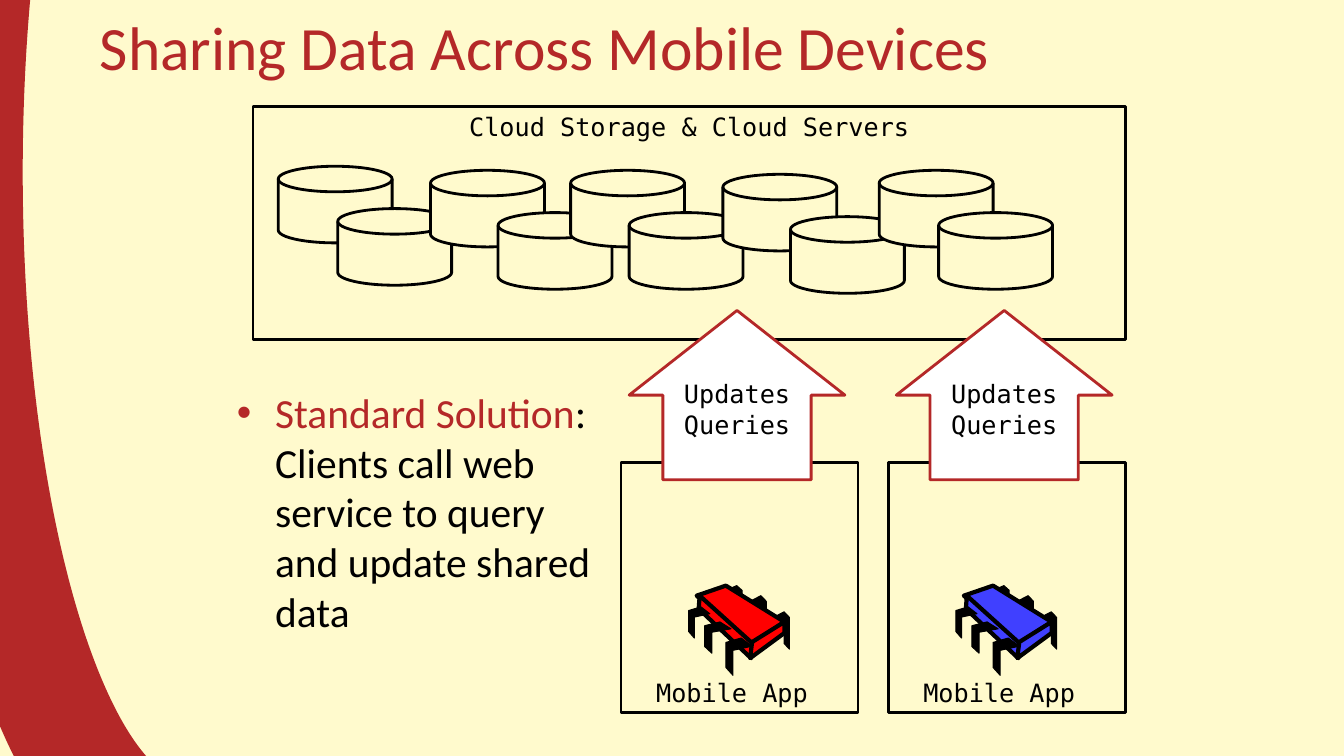
from lxml import etree
from pptx import Presentation
from pptx.dml.color import RGBColor
from pptx.enum.shapes import MSO_SHAPE
from pptx.enum.text import MSO_ANCHOR, MSO_AUTO_SIZE, PP_ALIGN
from pptx.oxml.ns import qn
from pptx.util import Inches, Pt

TOP, MIDDLE, BOTTOM = MSO_ANCHOR.TOP, MSO_ANCHOR.MIDDLE, MSO_ANCHOR.BOTTOM
LEFT, CENTER = PP_ALIGN.LEFT, PP_ALIGN.CENTER
BOX, DISK = MSO_SHAPE.RECTANGLE, MSO_SHAPE.FLOWCHART_MAGNETIC_DISK
ARROW, ARC = MSO_SHAPE.UP_ARROW, MSO_SHAPE.ARC

COLORS = {"cream": "FFFACD", "crimson": "B42828", "black": "000000",
          "white": "FFFFFF", "red chip": "FF0000", "blue chip": "4040FF"}
SANS, MONO = "Calibri", "DejaVu Sans Mono"

# Two device columns and the storage rows, in inches
DEVICE_LEFT, DEVICE_TOP, DEVICE_PITCH = 6.16, 4.59, 2.65
DISK_DROP = 0.42
DISK_PAIRS = [(2.76, 3.35, 1.65), (4.27, 4.94, 1.69), (5.66, 6.24, 1.69),
              (7.17, 7.84, 1.73), (8.72, 9.31, 1.69)]

# Chip outlines: pins as shares of their frames, faces in inches
BACK_PIN = [(0, .15), (.67, 0), (1, .15), (1, 1), (.67, .85), (.67, .29), (0, .43)]
FRONT_PIN = [(.58, 0), (1, .22), (.27, .33), (.27, 1), (0, .79), (0, .12)]
BACK_FRAMES = [(.84, .26, .16, .37), (.61, .1, .16, .37), (.37, 0, .16, .31)]
FRONT_FRAMES = [(.37, .52, .26, .37), (.16, .36, .26, .31), (0, .21, .21, .31)]
FACES = [[(.37, 0), (.95, .36), (.62, .58), (.08, .1)],
         [(.11, .1), (.63, .57), (.62, .72), (.1, .23)],
         [(.95, .36), (.95, .47), (.61, .72), (.63, .56)]]


def rgb(name):
    return RGBColor.from_string(COLORS[name])


def paint(shape, fill, line, width):
    shape.shadow.inherit = False
    if fill:
        shape.fill.solid()
        shape.fill.fore_color.rgb = rgb(fill)
    else:
        shape.fill.background()
    shape.line.color.rgb = rgb(line)
    shape.line.width = Pt(width)


def add_run(paragraph, text, font, size, color):
    run = paragraph.add_run()
    run.text = text
    run.font.name = font
    run.font.size = Pt(size)
    run.font.color.rgb = rgb(color)


def prepare_frame(holder, anchor, align):
    frame = holder.text_frame
    frame.word_wrap = True
    frame.auto_size = MSO_AUTO_SIZE.NONE
    frame.vertical_anchor = anchor
    frame.paragraphs[0].alignment = align
    return frame


def add_shape(slide, kind, frame, fill="cream", line="black", width=2):
    shape = slide.shapes.add_shape(kind, *map(Inches, frame))
    paint(shape, fill, line, width)
    return shape


def add_label(shape, lines, anchor):
    frame = prepare_frame(shape, anchor, CENTER)
    paragraph = frame.paragraphs[0]
    for index, line in enumerate(lines):
        if index:
            paragraph.add_line_break()
        add_run(paragraph, line, MONO, 18, "black")
    return frame


def add_side_band(slide):
    band = add_shape(slide, ARC, (-0.33, -4.83, 4.11, 13.08), None, "crimson", 80)
    band.adjustments[0] = 177.665
    band.adjustments[1] = 55.34
    band._element.spPr.find(qn("a:xfrm")).set("flipH", "1")


def add_title(slide, text):
    title = slide.shapes.title
    title.left, title.top, title.width, title.height = map(
        Inches, (0.89, -0.17, 12, 1.25))
    frame = prepare_frame(title, MIDDLE, LEFT)
    add_run(frame.paragraphs[0], text, SANS, 44, "crimson")


def add_solution(slide):
    solution = slide.shapes.add_textbox(*map(Inches, (2.25, 3.79, 3.82, 2.33)))
    paragraph = prepare_frame(solution, TOP, LEFT).paragraphs[0]
    props = paragraph._p.get_or_add_pPr()
    props.set("marL", str(Inches(0.38)))
    props.set("indent", str(-Inches(0.38)))
    bullet_color = etree.SubElement(props, qn("a:buClr"))
    etree.SubElement(bullet_color, qn("a:srgbClr"), val=COLORS["crimson"])
    etree.SubElement(props, qn("a:buFont"), typeface="Arial")
    etree.SubElement(props, qn("a:buChar"), char="•")
    add_run(paragraph, "Standard Solution", SANS, 29.6, "crimson")
    add_run(paragraph, ": Clients call web service to query and update shared data",
            SANS, 29.6, "black")


def add_outline(group, points, origin, fill, width):
    corners = [(Inches(origin[0] + x), Inches(origin[1] + y)) for x, y in points]
    builder = group.shapes.build_freeform(*corners[0])
    builder.add_line_segments(corners[1:], close=True)
    paint(builder.convert_to_shape(), fill, "black", width)


def add_pins(group, pin, frames, origin):
    for left, top, width, height in frames:
        points = [(left + x * width, top + y * height) for x, y in pin]
        add_outline(group, points, origin, "black", 0.75)


def add_chip(slide, origin, color):
    chip = slide.shapes.add_group_shape()
    add_pins(chip, BACK_PIN, BACK_FRAMES, origin)
    for face in FACES:
        add_outline(chip, face, origin, color, 3)
    add_pins(chip, FRONT_PIN, FRONT_FRAMES, origin)


def add_device(slide, left, chip_color):
    device = add_shape(slide, BOX, (left, DEVICE_TOP, 2.35, 2.48))
    add_label(device, ["Mobile App "], BOTTOM)
    add_chip(slide, (left + 0.67, DEVICE_TOP + 1.22), chip_color)


def add_request_arrow(slide, left):
    request = add_shape(slide, ARROW, (left + 0.08, 3.08, 2.14, 1.68),
                        "white", "crimson")
    request.adjustments[0] = 0.687
    request.adjustments[1] = 0.5
    frame = add_label(request, ["Updates", "Queries"], MIDDLE)
    frame.margin_bottom = Inches(0.35)


def add_cloud(slide):
    cloud = add_shape(slide, BOX, (2.51, 1.06, 8.65, 2.31))
    add_label(cloud, ["Cloud Storage & Cloud Servers"], TOP)
    for back, front, top in DISK_PAIRS:
        add_shape(slide, DISK, (back, top, 1.13, 0.76))
        add_shape(slide, DISK, (front, top + DISK_DROP, 1.13, 0.76))


def main():
    deck = Presentation()
    deck.slide_width, deck.slide_height = Inches(13.33), Inches(7.5)
    slide = deck.slides.add_slide(deck.slide_layouts[5])
    slide.background.fill.solid()
    slide.background.fill.fore_color.rgb = rgb("cream")

    # Band, title and text
    add_side_band(slide)
    add_title(slide, "Sharing Data Across Mobile Devices")
    add_solution(slide)

    # Cloud, devices and the requests between them
    add_cloud(slide)
    columns = [DEVICE_LEFT + i * DEVICE_PITCH for i in range(2)]
    for left, chip_color in zip(columns, ("red chip", "blue chip")):
        add_device(slide, left, chip_color)
    for left in columns:
        add_request_arrow(slide, left)

    deck.save("out.pptx")


if __name__ == "__main__":
    main()
